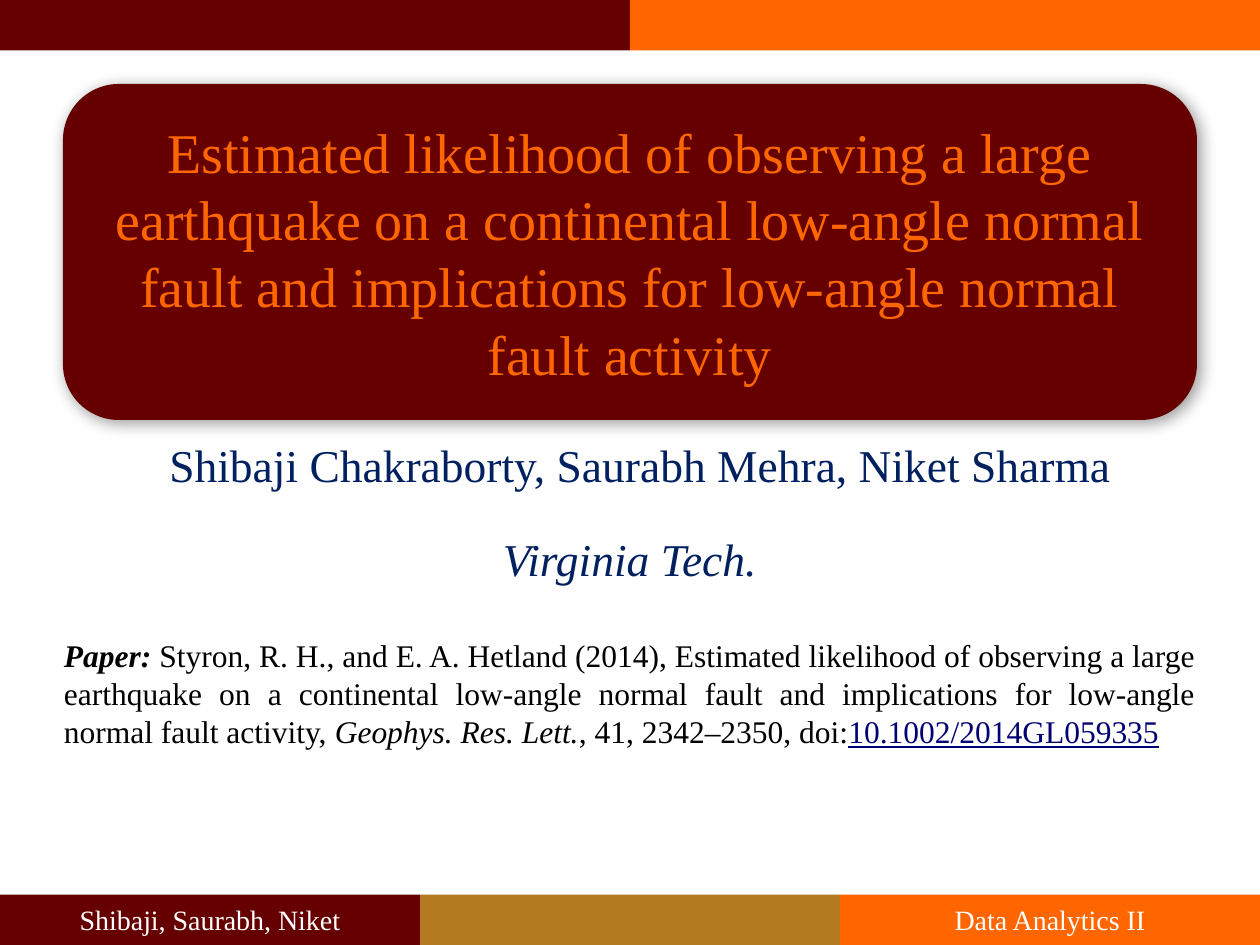
from lxml.etree import SubElement
from pptx import Presentation
from pptx.dml.color import RGBColor
from pptx.enum.shapes import MSO_SHAPE
from pptx.enum.text import MSO_ANCHOR, PP_ALIGN
from pptx.oxml.ns import qn
from pptx.util import Pt

WIDTH, HEIGHT, BAR = 720, 540, 28.8
FONT = "Times New Roman"
MAROON, ORANGE, GOLD = "660000", "FF6600", "B47A1F"
NAVY, LINK, BLACK, WHITE = "002060", "000072", "000000", "FFFFFF"

TITLE = ("Estimated likelihood of observing a large earthquake on a continental "
         "low‐angle normal fault and implications for low‐angle normal fault activity")
# Bars across the full width: top, [(fill, text)]
BARS = [
    (HEIGHT - BAR, [(MAROON, "Shibaji, Saurabh, Niket"), (GOLD, ""), (ORANGE, "Data Analytics II")]),
    (0, [(MAROON, ""), (ORANGE, "")]),
]
# Text boxes: left, top, width, height, size, alignment, [(text, colour, style)]
TEXTS = [
    (-36, 246, 804, 78, 26, PP_ALIGN.CENTER,
     [("Shibaji Chakraborty, Saurabh Mehra, Niket Sharma", NAVY, "")]),
    (36, 300, 648, 145, 26, PP_ALIGN.CENTER, [("Virginia Tech.", NAVY, "i")]),
    (15, 360, 690, 59, 18, PP_ALIGN.JUSTIFY, [
        ("Paper:", BLACK, "bi"),
        (f" Styron, R. H., and E. A. Hetland (2014), {TITLE}, ", BLACK, ""),
        ("Geophys. Res. Lett.", BLACK, "i"),
        (", 41, 2342–2350, doi:", BLACK, ""),
        ("10.1002/2014GL059335", LINK, "u"),
    ]),
]


def rgb(value):
    return RGBColor.from_string(value)


def add_runs(tf, runs, size, align):
    tf.word_wrap = True
    p = tf.paragraphs[0]
    p.alignment = align
    for text, color, style in runs:
        r = p.add_run()
        r.text = text
        r.font.name, r.font.size = FONT, Pt(size)
        r.font.color.rgb = rgb(color)
        r.font.bold, r.font.italic = "b" in style, "i" in style
        r.font.underline = "u" in style


def add_block(s, kind, box, fill, text, size, color):
    sp = s.shapes.add_shape(kind, *map(Pt, box))
    sp.shadow.inherit = False
    sp.fill.solid()
    sp.fill.fore_color.rgb = rgb(fill)
    sp.line.fill.background()
    if text:
        sp.text_frame.vertical_anchor = MSO_ANCHOR.MIDDLE
        add_runs(sp.text_frame, [(text, color, "")], size, PP_ALIGN.CENTER)
    return sp


def add_shadow(sp):
    effects = sp._element.spPr.find(qn("a:effectLst"))
    shadow = SubElement(effects, qn("a:outerShdw"), blurRad=str(Pt(9)), dist=str(Pt(3)),
                        dir="2700000", algn="tl", rotWithShape="0")
    color = SubElement(shadow, qn("a:srgbClr"), val=BLACK)
    SubElement(color, qn("a:alpha"), val="40000")


prs = Presentation()
prs.slide_width, prs.slide_height = Pt(WIDTH), Pt(HEIGHT)
s = prs.slides.add_slide(prs.slide_layouts[6])

for top, parts in BARS:
    w = WIDTH / len(parts)
    for i, (fill, text) in enumerate(parts):
        add_block(s, MSO_SHAPE.RECTANGLE, (i * w, top, w, BAR), fill, text, 16, WHITE)

title = add_block(s, MSO_SHAPE.ROUNDED_RECTANGLE, (36, 48, 648, 192), MAROON, TITLE, 32, ORANGE)
add_shadow(title)

for left, top, width, height, size, align, runs in TEXTS:
    tf = s.shapes.add_textbox(Pt(left), Pt(top), Pt(width), Pt(height)).text_frame
    tf.margin_left = tf.margin_right = Pt(21.6)
    add_runs(tf, runs, size, align)

prs.save("out.pptx")
